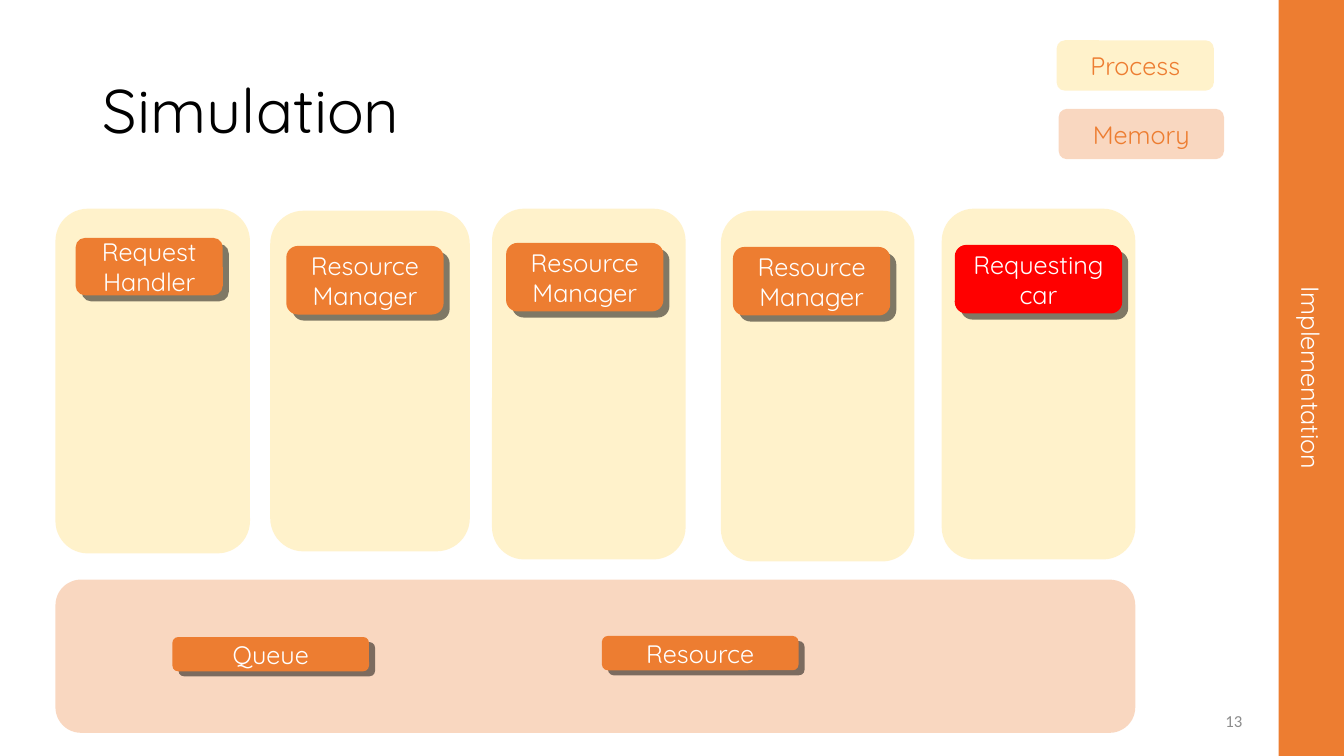
from pptx import Presentation
from pptx.dml.color import RGBColor
from pptx.enum.shapes import MSO_SHAPE as Shape
from pptx.enum.text import MSO_ANCHOR as Anchor, PP_ALIGN as Align
from pptx.oxml.ns import qn
from pptx.util import Inches, Pt
from lxml.etree import SubElement

WIDE, HIGH = 13.33, 7.5
FONT = "Quicksand"
ORANGE, RED, WHITE, BLACK = "ED7D31", "FF0000", "FFFFFF", "000000"
CREAM, PEACH, GREY = "FFE699", "F4B183", "8C8C8C"


def tint(color, value):
    color.rgb = RGBColor.from_string(value)


def write(frame, text, size=18, color=WHITE, align=Align.CENTER, font=FONT):
    frame.word_wrap = True
    frame.vertical_anchor = Anchor.MIDDLE
    para = frame.paragraphs[0]
    para.alignment = align
    run = para.add_run()
    run.text = text
    run.font.size = Pt(size)
    run.font.name = font
    tint(run.font.color, color)
    return para


def block(slide, box, fill, alpha=100, text="", ink=WHITE, kind=Shape.ROUNDED_RECTANGLE):
    part = slide.shapes.add_shape(kind, *map(Inches, box))
    part.shadow.inherit = False
    part.line.fill.background()
    part.fill.solid()
    tint(part.fill.fore_color, fill)
    if alpha < 100:
        shade = part.fill._xPr.find(qn("a:solidFill"))[0]
        SubElement(shade, qn("a:alpha"), val=str(alpha * 1000))
    if text:
        write(part.text_frame, text, color=ink)
    return part


def label(slide, box, text, fill=ORANGE, drop=0.06):
    """A label with a half-clear black block behind it."""
    left, top, wide, high = box
    block(slide, (left + 0.06, top + drop, wide, high), BLACK, 50)
    block(slide, box, fill, text=text)


def title(slide, box, text):
    head = slide.shapes.title
    head.left, head.top, head.width, head.height = map(Inches, box)
    para = write(head.text_frame, text, 44, BLACK, Align.LEFT)
    para.line_spacing = 0.9


def legend(slide, left, top):
    rows = [("Process", CREAM, 0, 1.56), ("Memory", PEACH, 0.02, 1.64)]
    for row, (text, fill, shift, wide) in enumerate(rows):
        box = (left + shift, top + row * 0.68, wide, 0.5)
        block(slide, box, fill, 50, text, ORANGE)


def process(slide, box, text, inset, size, fill=ORANGE):
    left, top = box[:2]
    block(slide, box, CREAM, 50)
    label(slide, (left + inset[0], top + inset[1], *size), text, fill)


def memory(slide, box):
    left, top, wide, high = box
    block(slide, box, PEACH, 50)
    for text, across, down in [("Queue", 1.16, 0.57), ("Resource", 5.42, 0.56)]:
        label(slide, (left + across, top + down, 1.95, 0.34), text, drop=0.05)


def sidebar(slide, text, thick=0.65):
    # Turned a quarter about its centre, the bar fills the right edge
    middle = WIDE - thick / 2
    box = (middle - HIGH / 2, (HIGH - thick) / 2, HIGH, thick)
    bar = block(slide, box, ORANGE, text=text, kind=Shape.RECTANGLE)
    bar.rotation = 90


def number(slide, box, text):
    note = slide.shapes.add_textbox(*map(Inches, box))
    write(note.text_frame, text, 12, GREY, Align.RIGHT, "Calibri")


def main():
    deck = Presentation()
    deck.slide_width, deck.slide_height = Inches(WIDE), Inches(HIGH)
    slide = deck.slides.add_slide(deck.slide_layouts[5])

    title(slide, (0.92, 0.4, 11.5, 1.45), "Simulation")
    legend(slide, 10.48, 0.4)

    # Processes: box, text, label inset, label size, label colour
    plate = (1.56, 0.68)
    manager = "Resource Manager"
    columns = [
        ((0.55, 2.07, 1.93, 3.42), "Request Handler", (0.2, 0.29), (1.46, 0.57), ORANGE),
        ((2.68, 2.09, 1.98, 3.38), manager, (0.16, 0.35), plate, ORANGE),
        ((4.88, 2.07, 1.92, 3.48), manager, (0.14, 0.34), plate, ORANGE),
        ((7.15, 2.09, 1.92, 3.48), manager, (0.12, 0.36), plate, ORANGE),
        ((9.34, 2.07, 1.92, 3.48), "Requesting car", (0.13, 0.36), (1.66, 0.68), RED),
    ]
    for column in columns:
        process(slide, *column)

    memory(slide, (0.55, 5.75, 10.71, 1.52))
    sidebar(slide, "Implementation")
    number(slide, (9.42, 6.95, 3, 0.4), "13")
    deck.save("out.pptx")


if __name__ == "__main__":
    main()
